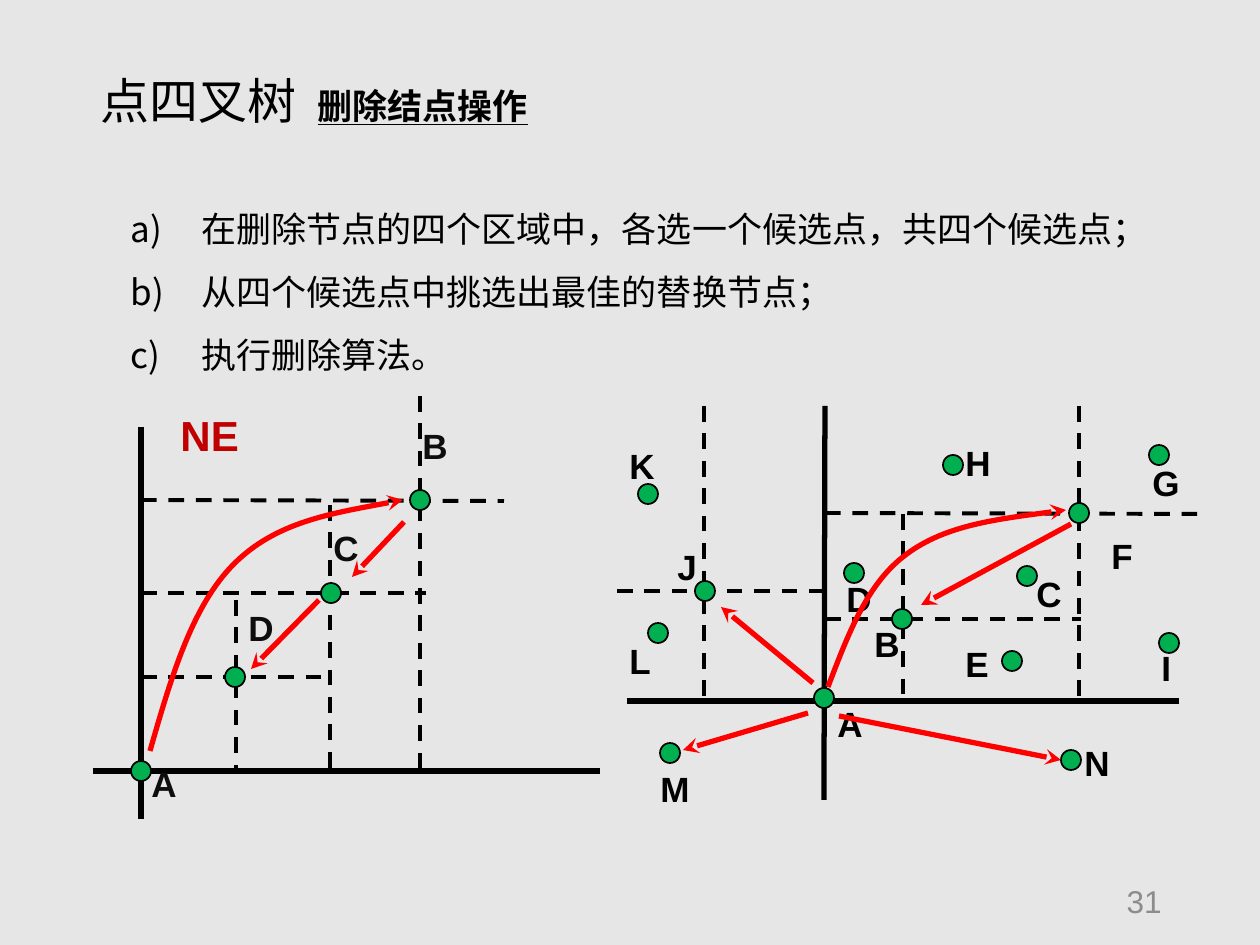
from dataclasses import dataclass

from lxml.etree import SubElement
from pptx import Presentation
from pptx.dml.color import RGBColor
from pptx.enum.dml import MSO_LINE_DASH_STYLE as Dash
from pptx.enum.shapes import MSO_CONNECTOR as Connector, MSO_SHAPE as Shape
from pptx.enum.text import MSO_ANCHOR as Anchor, MSO_AUTO_SIZE as AutoSize, PP_ALIGN as Align
from pptx.oxml.ns import qn
from pptx.util import Emu, Pt

SCALE = 914400 / 126  # EMU in one px


@dataclass(frozen=True)
class Theme:
    font: str = "Arial"
    background: str = "E7E6E6"
    ink: str = "000000"
    soft_ink: str = "0D0D0D"
    dot: str = "00B050"
    arrow: str = "FF0000"
    region: str = "C00000"
    number: str = "8C8C8C"
    title_size: int = 28
    region_size: int = 24
    body_size: int = 20
    number_size: int = 18
    heavy: float = 3
    dashed: float = 2.25
    thin: float = 1
    dot_width: int = 20


THEME = Theme()


def px(value):
    return Emu(round(value * SCALE))


def shift(box, *point):
    return box[0] + point[0], box[1] + point[1]


def apply(target, formats):
    for name, value in formats.items():
        setattr(target, name, value)


def add_run(paragraph, text, size, color=THEME.ink, **formats):
    run = paragraph.add_run()
    run.text = text
    apply(run.font, {"name": THEME.font, "size": Pt(size), **formats})
    run.font.color.rgb = RGBColor.from_string(color)
    return run


def add_text_box(slide, box, **formats):
    frame = slide.shapes.add_textbox(*map(px, box)).text_frame
    apply(frame, {"word_wrap": True, "auto_size": AutoSize.SHAPE_TO_FIT_TEXT, **formats})
    return frame


def style_line(line, color, width, dash=None, arrow=False):
    line.color.rgb = RGBColor.from_string(color)
    line.width = Pt(width)
    if dash:
        line.dash_style = dash
    if arrow:
        SubElement(line._get_or_add_ln(), qn("a:tailEnd"), type="stealth")


def add_line(slide, box, ends, color, width, **formats):
    start, end = shift(box, *ends[:2]), shift(box, *ends[2:])
    connector = slide.shapes.add_connector(Connector.STRAIGHT, *map(px, start + end))
    style_line(connector.line, color, width, **formats)
    SubElement(connector._element.spPr, qn("a:effectLst"))


def add_dot(slide, box, center):
    x, y = shift(box, *center)
    width = THEME.dot_width
    dot = slide.shapes.add_shape(
        Shape.OVAL, *map(px, (x - width / 2, y - width / 2, width, width)))
    dot.shadow.inherit = False
    dot.fill.solid()
    dot.fill.fore_color.rgb = RGBColor.from_string(THEME.dot)
    style_line(dot.line, THEME.ink, THEME.thin)


def add_curved_arrow(slide, box, points):
    start, *rest = [shift(box, *point) for point in points]
    builder = slide.shapes.build_freeform(*start, scale=SCALE)
    builder.add_line_segments(rest, close=False)
    curve = builder.convert_to_shape()
    curve.shadow.inherit = False
    curve.fill.background()
    style_line(curve.line, THEME.arrow, THEME.heavy, arrow=True)
    # Each three straight segments become one cubic curve
    segments = list(curve._element.iter(qn("a:lnTo")))
    outline = segments[0].getparent()
    for first in range(0, len(segments), 3):
        cubic = SubElement(outline, qn("a:cubicBezTo"))
        for segment in segments[first:first + 3]:
            cubic.append(segment[0])
            outline.remove(segment)


def add_title(slide, box):
    paragraph = add_text_box(slide, box).paragraphs[0]
    add_run(paragraph, "点四叉树", THEME.title_size)
    gap = add_run(paragraph, " ", THEME.title_size)
    gap._r.get_or_add_rPr().set("spc", "600")
    add_run(paragraph, "删除结点操作", THEME.body_size, bold=True, underline=True)


def add_steps(slide, box, steps):
    frame = add_text_box(slide, box)
    for index, step in enumerate(steps):
        paragraph = frame.add_paragraph() if index else frame.paragraphs[0]
        paragraph.line_spacing = 1.5
        properties = paragraph._p.get_or_add_pPr()
        properties.set("marL", str(px(63)))
        properties.set("indent", str(-px(63)))
        SubElement(properties, qn("a:buAutoNum"), type="alphaLcParenR")
        add_run(paragraph, " " + step, THEME.body_size)


def add_diagram(slide, box, diagram):
    # Axes and quadrant borders
    for ends in diagram["axes"]:
        add_line(slide, box, ends, THEME.ink, THEME.heavy)
    for ends in diagram["borders"]:
        add_line(slide, box, ends, THEME.ink, THEME.dashed, dash=Dash.DASH)
    # Node names, then nodes
    for name, (_, corner) in diagram["nodes"].items():
        frame = add_text_box(slide, (*shift(box, *corner), diagram["label_width"], 55))
        add_run(frame.paragraphs[0], name, THEME.body_size, diagram["label_color"], bold=True)
    for center, _ in diagram["nodes"].values():
        add_dot(slide, box, center)
    # Replacement moves
    add_curved_arrow(slide, box, diagram["curve"])
    for ends in diagram["arrows"]:
        add_line(slide, box, ends, THEME.arrow, THEME.heavy, arrow=True)


def add_region_name(slide, box, name):
    paragraph = add_text_box(slide, box).paragraphs[0]
    add_run(paragraph, name, THEME.region_size, THEME.region, bold=True)


def add_slide_number(slide, box, number):
    frame = add_text_box(slide, box, auto_size=AutoSize.NONE, vertical_anchor=Anchor.MIDDLE)
    frame.paragraphs[0].alignment = Align.RIGHT
    add_run(frame.paragraphs[0], number, THEME.number_size, THEME.number)


STEPS = ("在删除节点的四个区域中，各选一个候选点，共四个候选点；",
         "从四个候选点中挑选出最佳的替换节点；",
         "执行删除算法。")

# Lines are x1, y1, x2, y2; nodes are (center, label corner)
QUADRANT = {
    "axes": [(0, 375, 507, 375), (48, 31, 48, 423)],
    "borders": [(48, 281, 236, 281), (143, 204, 143, 375), (48, 104, 411, 105),
                (327, 0, 327, 375), (237, 109, 237, 375), (48, 197, 333, 197)],
    "nodes": {"A": ((48, 375), (46, 360)), "D": ((142, 281), (143, 204)),
              "C": ((238, 197), (228, 124)), "B": ((327, 104), (317, 22))},
    "label_width": 79, "label_color": THEME.soft_ink,
    "curve": [(57, 355), (78, 282), (99, 210), (141, 168), (183, 126), (247, 116), (310, 104)],
    "arrows": [(226, 204, 158, 273), (311, 126, 259, 181)],
}
PLANE = {
    "axes": [(10, 295, 562, 295), (208, 0, 207, 394)],
    "borders": [(462, 0, 462, 295), (208, 107, 591, 108), (208, 213, 464, 213),
                (286, 108, 286, 295), (0, 185, 208, 185), (87, 0, 87, 295)],
    "nodes": {"K": ((31, 88), (0, 32)), "A": ((207, 292), (208, 290)),
              "J": ((88, 185), (48, 133)), "L": ((41, 227), (0, 227)),
              "M": ((53, 347), (31, 355)), "N": ((454, 354), (455, 329)),
              "I": ((552, 237), (532, 234)), "G": ((542, 49), (523, 49)),
              "H": ((336, 59), (336, 29)), "D": ((237, 167), (217, 165)),
              "C": ((410, 170), (407, 160)), "E": ((395, 255), (336, 230)),
              "F": ((462, 107), (482, 122)), "B": ((285, 213), (245, 210))},
    "label_width": 59, "label_color": THEME.ink,
    "curve": [(211, 281), (231, 229), (250, 177), (290, 148), (329, 119), (390, 112), (449, 104)],
    "arrows": [(454, 118, 304, 199), (196, 277, 104, 201),
               (191, 307, 66, 344), (222, 310, 444, 354)],
}


def main():
    presentation = Presentation()
    apply(presentation, {"slide_width": px(1260), "slide_height": px(945)})
    slide = presentation.slides.add_slide(presentation.slide_layouts[6])
    slide.background.fill.solid()
    slide.background.fill.fore_color.rgb = RGBColor.from_string(THEME.background)
    add_title(slide, (88, 64, 466, 72))
    add_steps(slide, (118, 180, 1024, 195), STEPS)
    add_diagram(slide, (93, 396), QUADRANT)
    add_region_name(slide, (168, 403, 132, 63), "NE")
    add_diagram(slide, (617, 406), PLANE)
    add_slide_number(slide, (890, 876, 284, 50), "31")
    presentation.save("out.pptx")


if __name__ == "__main__":
    main()
